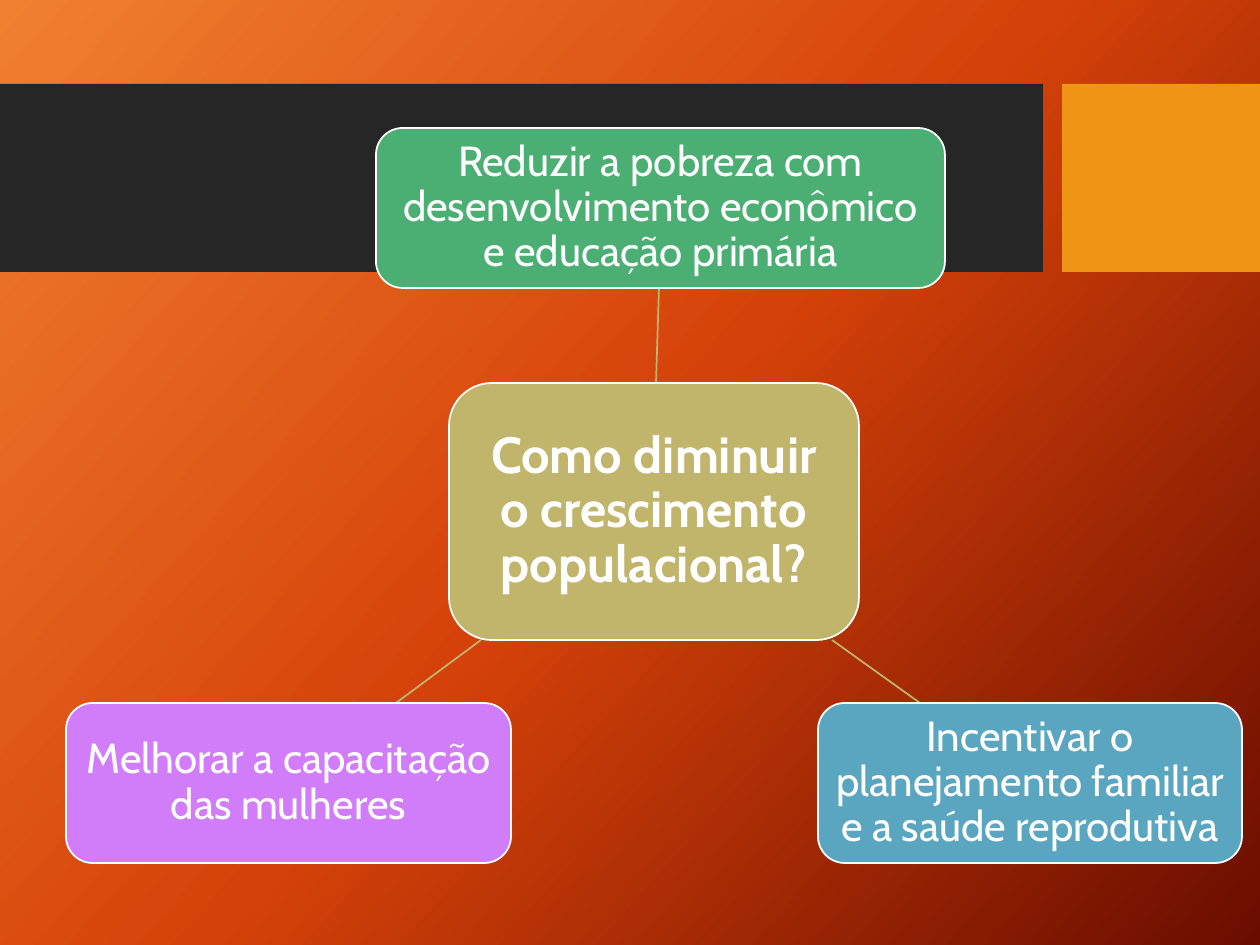
import copy
import pptx
import pptx.dml.color
import pptx.enum.shapes
import pptx.enum.text
import pptx.oxml.ns
import pptx.util

COLORS = {
    "glow": "F18031",
    "orange": "D54209",
    "maroon": "6A0D00",
    "band": "262626",
    "accent": "F09415",
    "khaki": "C1B56B",
    "green": "4BAF73",
    "blue": "5AA6C0",
    "violet": "D17DF9",
    "white": "FFFFFF",
}


def px(value):
    return pptx.util.Emu(round(value * 914400 / 126))


def rgb(name):
    return pptx.dml.color.RGBColor.from_string(COLORS[name])


presentation = pptx.Presentation()
presentation.slide_width = px(1260)
presentation.slide_height = px(945)
slide = presentation.slides.add_slide(presentation.slide_layouts[6])

background = slide.background.fill
background.gradient()
background.gradient_angle = 318
stop_list = slide.element.find(".//" + pptx.oxml.ns.qn("a:gsLst"))
stop_list.append(copy.deepcopy(stop_list[-1]))
for stop, position, color in zip(
    background.gradient_stops, (0, 0.5, 1), ("glow", "orange", "maroon")
):
    stop.position = position
    stop.color.rgb = rgb(color)

for left, width, color in ((0, 1043, "band"), (1062, 198, "accent")):
    shape = slide.shapes.add_shape(
        pptx.enum.shapes.MSO_SHAPE.RECTANGLE, px(left), px(84), px(width), px(188)
    )
    shape.shadow.inherit = False
    shape.fill.solid()
    shape.fill.fore_color.rgb = rgb(color)
    shape.line.fill.background()

for ends in ((656, 383, 659, 288), (832, 640, 920, 703), (481, 640, 396, 703)):
    connector = slide.shapes.add_connector(
        pptx.enum.shapes.MSO_CONNECTOR.STRAIGHT, *map(px, ends)
    )
    connector.line.color.rgb = rgb("khaki")
    connector.line.width = pptx.util.Pt(1)
    connector.element.spPr.append(pptx.oxml.parse_xml(
        "<a:effectLst %s/>" % pptx.oxml.ns.nsdecls("a")
    ))

boxes = (
    (449, 383, 410, 257, "khaki", 23, 29, True,
     "Como diminuir o crescimento populacional?"),
    (376, 128, 569, 160, "green", 17, 24, False,
     "Reduzir a pobreza com desenvolvimento econômico e educação primária"),
    (818, 703, 424, 160, "blue", 17, 24, False,
     "Incentivar o planejamento familiar e a saúde reprodutiva"),
    (66, 703, 445, 160, "violet", 17, 24, False,
     "Melhorar a capacitação das mulheres"),
)
for left, top, width, height, color, margin, size, bold, text in boxes:
    shape = slide.shapes.add_shape(
        pptx.enum.shapes.MSO_SHAPE.ROUNDED_RECTANGLE,
        px(left), px(top), px(width), px(height),
    )
    shape.shadow.inherit = False
    shape.fill.solid()
    shape.fill.fore_color.rgb = rgb(color)
    shape.line.color.rgb = rgb("white")
    shape.line.width = pptx.util.Pt(1)
    frame = shape.text_frame
    frame.word_wrap = True
    frame.vertical_anchor = pptx.enum.text.MSO_ANCHOR.MIDDLE
    # the preset's own text area is already inset by its rounded corners
    inset = px(max(margin - round(min(width, height) * 0.05), 0))
    frame.margin_left = frame.margin_right = inset
    frame.margin_top = frame.margin_bottom = inset
    paragraph = frame.paragraphs[0]
    paragraph.text = text
    paragraph.alignment = pptx.enum.text.PP_ALIGN.CENTER
    paragraph.line_spacing = 0.9
    paragraph.font.name = "Cabin"
    paragraph.font.size = pptx.util.Pt(size)
    paragraph.font.bold = bold
    paragraph.font.color.rgb = rgb("white")

presentation.save("out.pptx")
